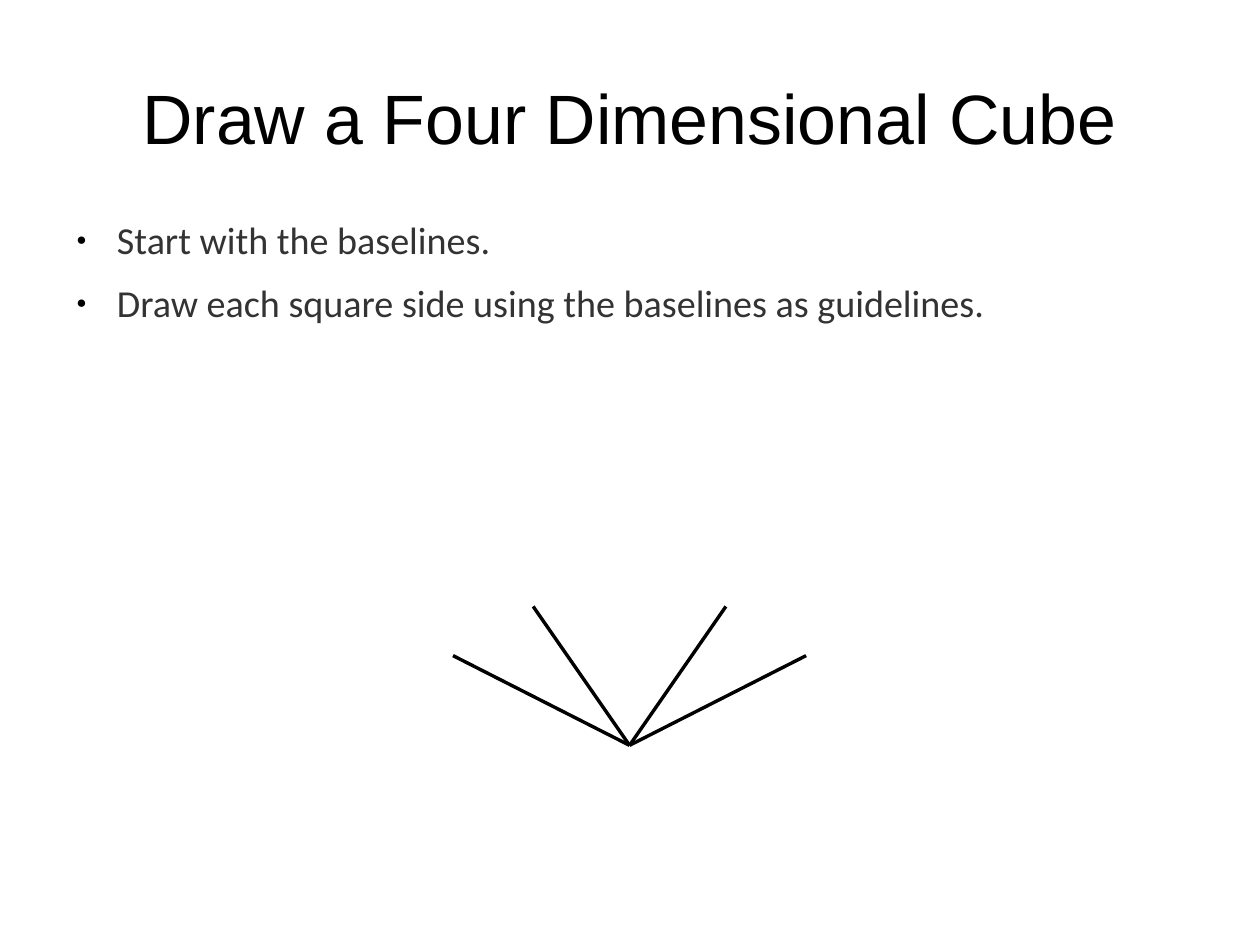
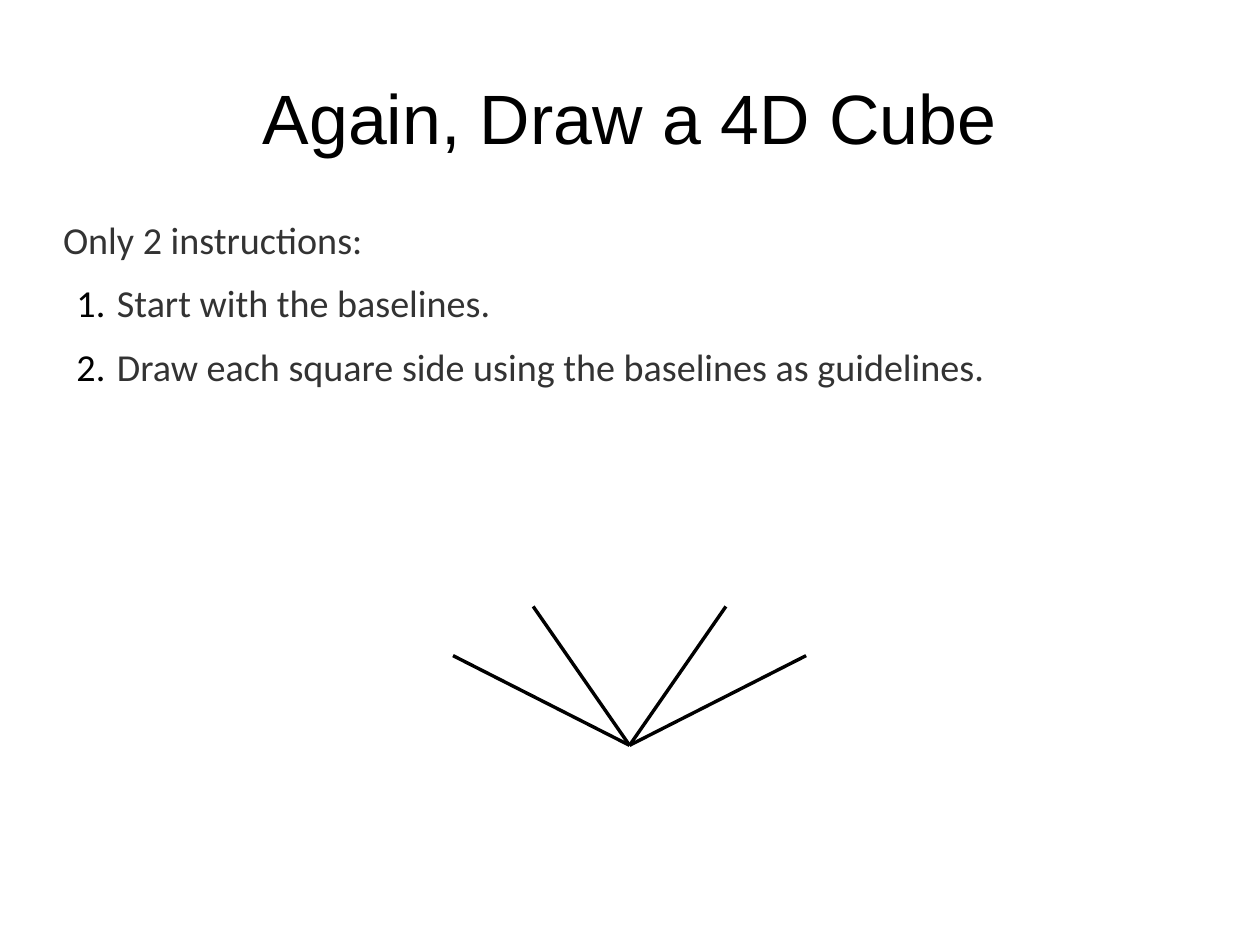
import pptx
import pptx.util
import pptx.dml.color
import pptx.enum.shapes
import pptx.enum.text
import pptx.oxml.ns
from lxml import etree

Pt = pptx.util.Pt
RGBColor = pptx.dml.color.RGBColor

# Content: title, then (list style, text) for each line
STEPS = ["Start with the baselines.",
         "Draw each square side using the baselines as guidelines."]
SLIDES = [
    ("Draw a Four Dimensional Cube", [("dot", step) for step in STEPS]),
    ("Again, Draw a 4D Cube",
     [("plain", "Only 2 instructions:")] + [("number", step) for step in STEPS]),
]

# Shared look, lengths in points
BLACK = RGBColor(0x00, 0x00, 0x00)
DARK_GREY = RGBColor(0x33, 0x33, 0x33)
WIDTH, HEIGHT = 793.75, 595.25
MARGIN, CONTENT_WIDTH = 39.7, 714.3
TITLE_TOP, TITLE_HEIGHT = 23.75, 99.4
BODY_TOP, BODY_HEIGHT = 139.3, 393
LIST_INDENT, LIST_HANGING = 34, 25.5

# Baselines fan out from one corner, mirrored left and right
CORNER = (396.6, 469.5)
RAYS = [(111.2, 56.5), (60.7, 87.5)]  # sideways, upwards
LINE_WIDTH = 2.15

LIST_MARKS = {
    "plain": [("buNone", {})],
    "dot": [("buSzPct", {"val": "45000"}), ("buFont", {"typeface": "Arial"}),
            ("buChar", {"char": "●"})],
    "number": [("buSzPct", {"val": "100000"}), ("buFont", {"typeface": "Calibri"}),
               ("buAutoNum", {"type": "arabicPeriod"})],
}


def add_element(parent, tag, **attributes):
    return etree.SubElement(parent, pptx.oxml.ns.qn("a:" + tag), **attributes)


def place(shape, top, height, anchor):
    shape.left, shape.top = Pt(MARGIN), Pt(top)
    shape.width, shape.height = Pt(CONTENT_WIDTH), Pt(height)
    frame = shape.text_frame
    frame.margin_left = frame.margin_top = frame.margin_right = frame.margin_bottom = 0
    frame.word_wrap = True
    frame.auto_size = pptx.enum.text.MSO_AUTO_SIZE.NONE
    frame.vertical_anchor = anchor
    return frame


def set_font(paragraph, name, size, color):
    paragraph.font.name = name
    paragraph.font.size = Pt(size)
    paragraph.font.color.rgb = color


def set_list_style(paragraph, style):
    properties = paragraph._p.get_or_add_pPr()
    listed = style != "plain"
    properties.set("marL", str(Pt(LIST_INDENT) if listed else 0))
    properties.set("indent", str(-Pt(LIST_HANGING) if listed else 0))
    if listed:
        add_element(add_element(properties, "buClr"), "srgbClr", val=str(BLACK))
    for tag, attributes in LIST_MARKS[style]:
        add_element(properties, tag, **attributes)


def add_title(slide, text):
    frame = place(slide.shapes.title, TITLE_TOP, TITLE_HEIGHT,
                  pptx.enum.text.MSO_ANCHOR.MIDDLE)
    frame.text = text
    paragraph = frame.paragraphs[0]
    paragraph.alignment = pptx.enum.text.PP_ALIGN.CENTER
    set_font(paragraph, "Arial", 44, BLACK)


def add_body(slide, lines):
    frame = place(slide.placeholders[1], BODY_TOP, BODY_HEIGHT,
                  pptx.enum.text.MSO_ANCHOR.TOP)
    frame.text = "\n".join(text for style, text in lines)
    for paragraph, (style, text) in zip(frame.paragraphs, lines):
        paragraph.line_spacing = 0.9
        paragraph.space_before = Pt(0)
        paragraph.space_after = Pt(14.1)
        set_list_style(paragraph, style)
        set_font(paragraph, "Calibri", 24, DARK_GREY)


def add_baselines(slide):
    x, y = CORNER
    for side in (-1, 1):
        for across, up in RAYS:
            line = slide.shapes.add_connector(
                pptx.enum.shapes.MSO_CONNECTOR.STRAIGHT,
                Pt(x), Pt(y), Pt(x + side * across), Pt(y - up))
            line.line.color.rgb = BLACK
            line.line.width = Pt(LINE_WIDTH)
            add_element(line._element.spPr, "effectLst")


def main():
    presentation = pptx.Presentation()
    presentation.slide_width, presentation.slide_height = Pt(WIDTH), Pt(HEIGHT)
    for title, lines in SLIDES:
        slide = presentation.slides.add_slide(presentation.slide_layouts[1])
        add_title(slide, title)
        add_body(slide, lines)
        add_baselines(slide)
    presentation.save("out.pptx")


if __name__ == "__main__":
    main()
